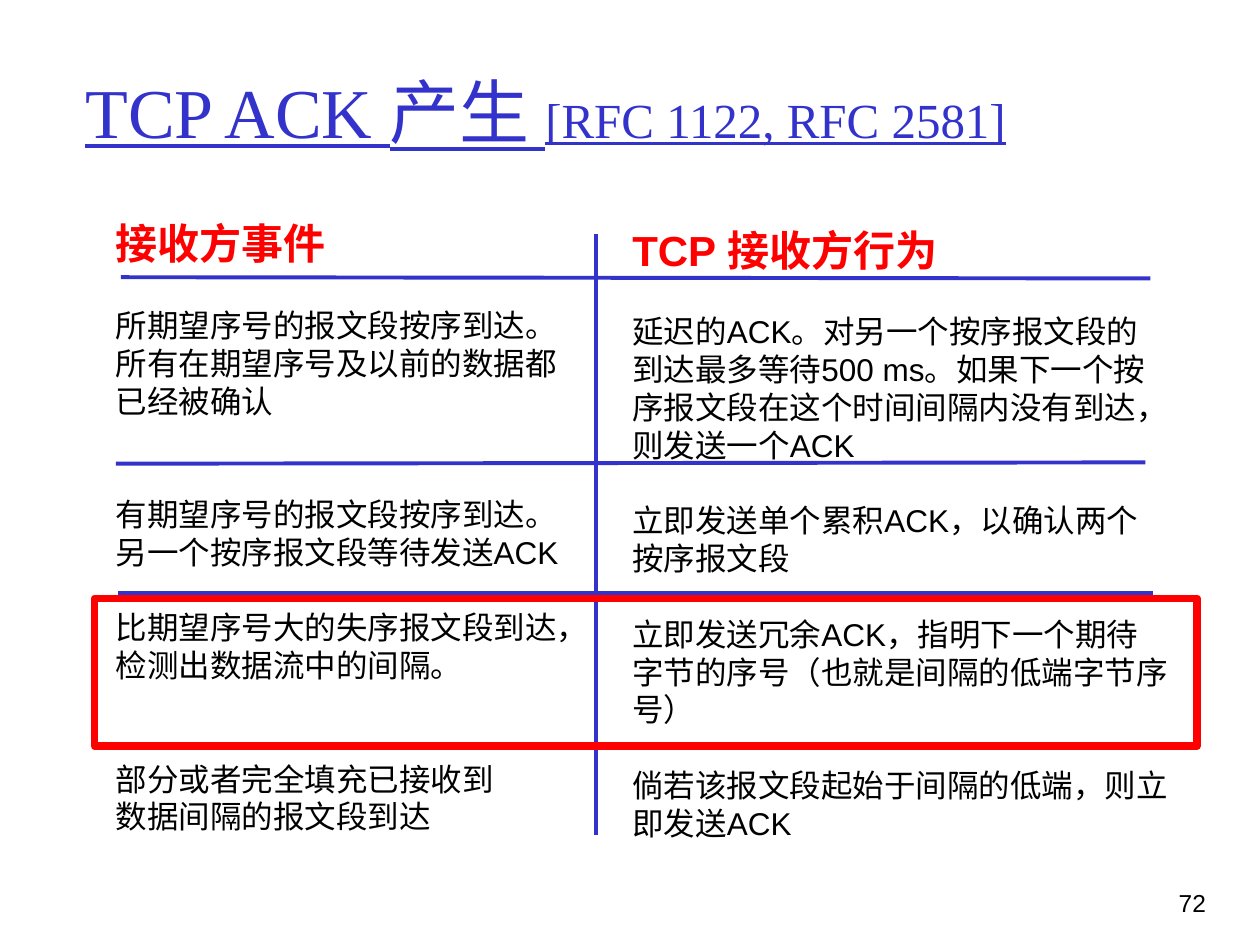
from dataclasses import dataclass

from lxml.etree import SubElement
from pptx import Presentation
from pptx.dml.color import RGBColor
from pptx.enum.shapes import MSO_CONNECTOR, MSO_SHAPE
from pptx.enum.text import MSO_ANCHOR, PP_ALIGN
from pptx.oxml.ns import qn
from pptx.slide import Slide
from pptx.util import Emu, Pt

PX = 9144  # EMU per px, 100 px to the inch


@dataclass(frozen=True)
class Theme:
    blue: RGBColor = RGBColor(0x33, 0x33, 0xCC)
    red: RGBColor = RGBColor(0xFF, 0, 0)
    black: RGBColor = RGBColor(0, 0, 0)
    sans: str = "Arial"
    serif: str = "Times New Roman"
    title: int = 40
    cite: int = 28
    head: int = 24
    body: int = 18
    page: int = 14
    row: float = 21.6  # height of one body line
    rule: float = 2.25
    frame: float = 4.5


LOOK = Theme()


@dataclass(frozen=True)
class Run:
    text: str
    size: int = LOOK.body
    color: RGBColor = LOOK.black
    font: str = LOOK.sans
    bold: bool = False
    under: bool = False


@dataclass(frozen=True)
class Para:
    runs: tuple[Run, ...]
    gap: int = 0  # body lines left free above


@dataclass(frozen=True)
class Box:
    left: int
    top: int
    width: int
    height: int
    paras: tuple[Para, ...] = ()
    align: PP_ALIGN = PP_ALIGN.LEFT
    anchor: MSO_ANCHOR = MSO_ANCHOR.TOP


@dataclass(frozen=True)
class Rule:
    x1: int
    y1: int
    x2: int
    y2: int


def px(*nums: int) -> list[Emu]:
    return [Emu(num * PX) for num in nums]


def column(head: str, *items: tuple[int, str]) -> tuple[Para, ...]:
    top = Para((Run(head, LOOK.head, LOOK.red, bold=True),))
    return (top, *(Para((Run(text),), gap) for gap, text in items))


def title_run(text: str, size: int) -> Run:
    return Run(text, size, LOOK.blue, LOOK.serif, under=True)


def add_text(slide: Slide, box: Box) -> None:
    shape = slide.shapes.add_textbox(*px(box.left, box.top, box.width, box.height))
    frame = shape.text_frame
    frame.word_wrap = True
    frame.vertical_anchor = box.anchor
    for num, item in enumerate(box.paras):
        para = frame.add_paragraph() if num else frame.paragraphs[0]
        para.alignment = box.align
        if item.gap:
            para.space_before = Pt(item.gap * LOOK.row)
        for part in item.runs:
            run = para.add_run()
            run.text = part.text
            font = run.font
            font.name, font.size = part.font, Pt(part.size)
            font.bold, font.underline = part.bold, part.under
            font.color.rgb = part.color


def add_rule(slide: Slide, rule: Rule) -> None:
    ends = px(rule.x1, rule.y1, rule.x2, rule.y2)
    line = slide.shapes.add_connector(MSO_CONNECTOR.STRAIGHT, *ends)
    line.line.color.rgb = LOOK.blue
    line.line.width = Pt(LOOK.rule)
    SubElement(line.element.spPr, qn("a:effectLst"))


def add_frame(slide: Slide, box: Box) -> None:
    shape = slide.shapes.add_shape(
        MSO_SHAPE.RECTANGLE, *px(box.left, box.top, box.width, box.height))
    shape.shadow.inherit = False
    shape.fill.background()
    shape.line.color.rgb = LOOK.red
    shape.line.width = Pt(LOOK.frame)


TITLE = Box(58, 25, 850, 125, (Para((
    title_run("TCP ACK 产生 ", LOOK.title),
    title_run("[RFC 1122, RFC 2581]", LOOK.cite))),), anchor=MSO_ANCHOR.MIDDLE)

EVENTS = Box(82, 168, 384, 560, column(
    "接收方事件",
    (1, "所期望序号的报文段按序到达。所有在期望序号及以前的数据都已经被确认"),
    (2, "有期望序号的报文段按序到达。另一个按序报文段等待发送ACK"),
    (1, "比期望序号大的失序报文段到达，检测出数据流中的间隔。"),
    (2, "部分或者完全填充已接收到"),
    (0, "数据间隔的报文段到达")))

ACTIONS = Box(492, 173, 446, 530, column(
    "TCP 接收方行为",
    (1, "延迟的ACK。对另一个按序报文段的到达最多等待500 ms。"
        "如果下一个按序报文段在这个时间间隔内没有到达，则发送一个ACK"),
    (1, "立即发送单个累积ACK，以确认两个按序报文段"),
    (1, "立即发送冗余ACK，指明下一个期待字节的序号（也就是间隔的低端字节序号）"),
    (1, "倘若该报文段起始于间隔的低端，则立即发送ACK")))

PAGE = Box(893, 700, 74, 50, (Para((Run("72", LOOK.page),)),), PP_ALIGN.RIGHT)

RULES = (
    Rule(96, 220, 913, 221),
    Rule(92, 368, 909, 367),
    Rule(94, 471, 915, 471),
    Rule(95, 592, 914, 593),
    Rule(473, 186, 473, 663),
)

FOCUS = Box(75, 475, 875, 117)


def main() -> None:
    deck = Presentation()
    deck.slide_width, deck.slide_height = px(1000, 750)
    slide = deck.slides.add_slide(deck.slide_layouts[6])

    # Title and the two columns
    for box in (TITLE, EVENTS, ACTIONS):
        add_text(slide, box)

    # Grid rules, then the highlighted row
    for rule in RULES:
        add_rule(slide, rule)
    add_frame(slide, FOCUS)

    # Page number
    add_text(slide, PAGE)
    deck.save("out.pptx")


if __name__ == "__main__":
    main()
